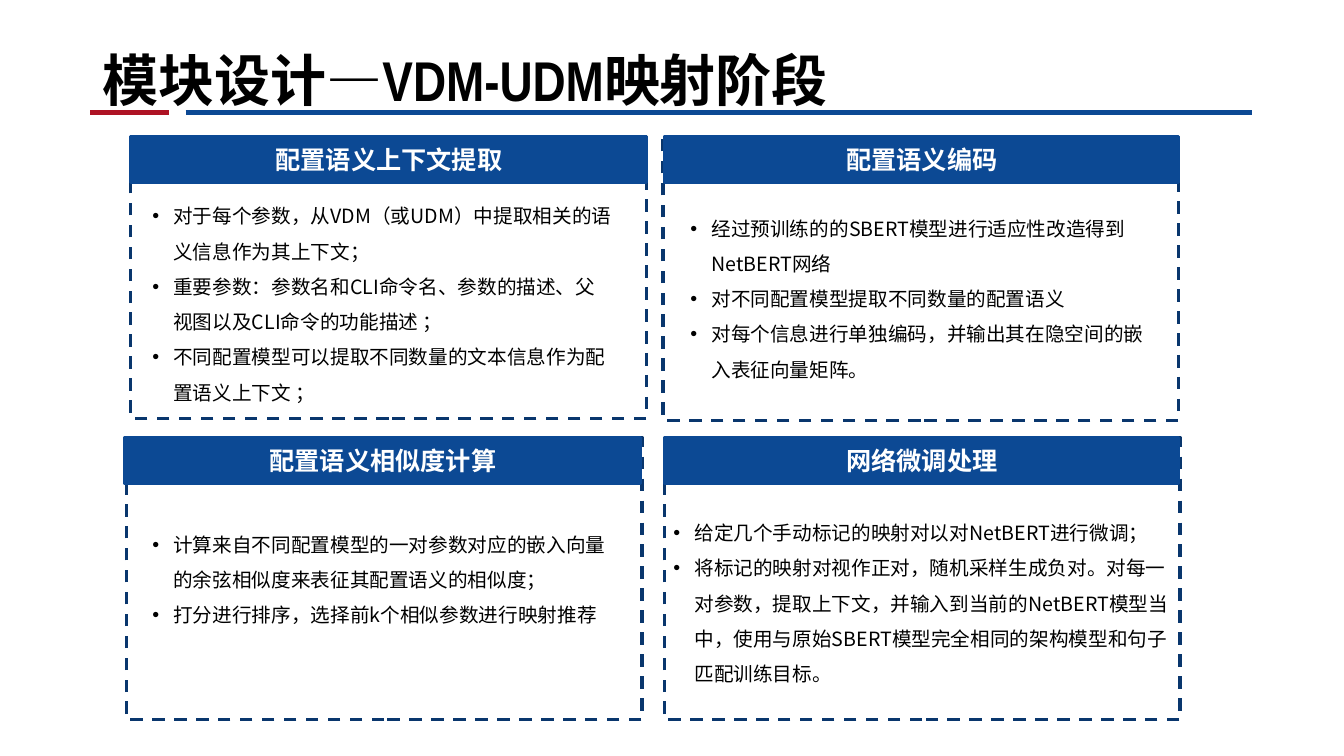
import pptx
import pptx.dml.color
import pptx.enum.dml
import pptx.enum.shapes
import pptx.enum.text
import pptx.oxml.ns
import pptx.util
from lxml import etree

Cm = pptx.util.Cm
Pt = pptx.util.Pt
RGBColor = pptx.dml.color.RGBColor
RECTANGLE = pptx.enum.shapes.MSO_SHAPE.RECTANGLE

BLACK = RGBColor(0x00, 0x00, 0x00)
WHITE = RGBColor(0xFF, 0xFF, 0xFF)
RED = RGBColor(0xAE, 0x13, 0x24)
BLUE = RGBColor(0x0C, 0x49, 0x94)
NAVY = RGBColor(0x09, 0x36, 0x6D)
CJK_FONT = "Noto Sans CJK SC"
PANEL_WIDTH, PANEL_HEIGHT, HEADER_HEIGHT = 13, 7.11, 1.17
INDENT = Cm(0.53)

# Each panel: heading, outline (left, top), header (left, top, width),
# body (left, top, width, height), bullet points
PANELS = [
    ("配置语义上下文提取", (3.3, 3.43), (3.3, 3.43, 13), (3.84, 4.85, 11.61, 5.33), [
        "对于每个参数，从VDM（或UDM）中提取相关的语义信息作为其上下文；",
        "重要参数：参数名和CLI命令名、参数的描述、父视图以及CLI命令的功能描述 ；",
        "不同配置模型可以提取不同数量的文本信息作为配置语义上下文 ；",
    ]),
    ("配置语义编码", (16.71, 3.48), (16.76, 3.43, 12.95), (17.4, 5.16, 11.61, 4.55), [
        "经过预训练的的SBERT模型进行适应性改造得到NetBERT网络",
        "对不同配置模型提取不同数量的配置语义",
        "对每个信息进行单独编码，并输出其在隐空间的嵌入表征向量矩阵。",
    ]),
    ("配置语义相似度计算", (3.18, 11.02), (3.15, 11.02, 13), (3.84, 13.13, 11.61, 2.92), [
        "计算来自不同配置模型的一对参数对应的嵌入向量的余弦相似度来表征其配置语义的相似度；",
        "打分进行排序，选择前k个相似参数进行映射推荐",
    ]),
    ("网络微调处理", (16.74, 11.02), (16.76, 11.02, 12.95), (16.97, 12.83, 12.78, 5.74), [
        "给定几个手动标记的映射对以对NetBERT进行微调；",
        "将标记的映射对视作正对，随机采样生成负对。对每一对参数，提取上下文，并输入到当前的"
        "NetBERT模型当中，使用与原始SBERT模型完全相同的架构模型和句子匹配训练目标。",
    ]),
]


def add_run(paragraph, text, size, color, bold=False, latin=CJK_FONT):
    """Add a run with a Latin font and the shared East Asian font."""
    run = paragraph.add_run()
    run.text = text
    run.font.size = Pt(size)
    run.font.bold = bold
    run.font.color.rgb = color
    run.font.name = latin
    east_asian = etree.SubElement(run.font._element, pptx.oxml.ns.qn("a:ea"))
    east_asian.set("typeface", CJK_FONT)


def set_frame(frame, horizontal, top, bottom, anchor):
    """Set wrapping, insets in centimetres and vertical anchor."""
    frame.word_wrap = True
    frame.margin_left = frame.margin_right = Cm(horizontal)
    frame.margin_top, frame.margin_bottom = Cm(top), Cm(bottom)
    frame.vertical_anchor = anchor


presentation = pptx.Presentation()
presentation.slide_width = Cm(33.87)
presentation.slide_height = Cm(19.05)
slide = presentation.slides.add_slide(presentation.slide_layouts[6])
shapes = slide.shapes
anchors = pptx.enum.text.MSO_ANCHOR

# Title and its two-coloured rule
for start, end, color in [(2.27, 4.25, RED), (4.68, 31.55, BLUE)]:
    rule = shapes.add_connector(pptx.enum.shapes.MSO_CONNECTOR.STRAIGHT,
                                Cm(start), Cm(2.84), Cm(end), Cm(2.84))
    rule.line.color.rgb = color
    rule.line.width = Pt(3.5)
    etree.SubElement(rule._element.spPr, pptx.oxml.ns.qn("a:effectLst"))

title = shapes.add_textbox(Cm(2.34), Cm(0), Cm(29.21), Cm(2.84))
set_frame(title.text_frame, 0.25, 0, 0, anchors.BOTTOM)
add_run(title.text_frame.paragraphs[0], "模块设计—VDM-UDM映射阶段", 40, BLACK,
        bold=True, latin="Arial Narrow")

# Four panels: dashed outline, header bar, bullet list
for heading, outline_place, header_place, body_place, points in PANELS:
    outline = shapes.add_shape(RECTANGLE, *map(Cm, outline_place), Cm(PANEL_WIDTH), Cm(PANEL_HEIGHT))
    outline.shadow.inherit = False
    outline.fill.background()
    outline.line.color.rgb = NAVY
    outline.line.width = Pt(2.25)
    outline.line.dash_style = pptx.enum.dml.MSO_LINE.DASH

    header = shapes.add_shape(RECTANGLE, *map(Cm, header_place), Cm(HEADER_HEIGHT))
    header.shadow.inherit = False
    header.fill.solid()
    header.fill.fore_color.rgb = BLUE
    header.line.color.rgb = BLUE
    header.line.width = Pt(2.25)
    set_frame(header.text_frame, 0.25, 0.2, 0.2, anchors.MIDDLE)
    header_paragraph = header.text_frame.paragraphs[0]
    header_paragraph.alignment = pptx.enum.text.PP_ALIGN.CENTER
    add_run(header_paragraph, heading, 18, WHITE, bold=True)

    body = shapes.add_textbox(*map(Cm, body_place))
    frame = body.text_frame
    set_frame(frame, 0, 0, 0, anchors.TOP)
    for index, point in enumerate(points):
        paragraph = frame.add_paragraph() if index else frame.paragraphs[0]
        paragraph.line_spacing = 1.5
        properties = paragraph._p.get_or_add_pPr()
        properties.set("marL", str(INDENT))
        properties.set("indent", str(-INDENT))
        bullet_font = etree.SubElement(properties, pptx.oxml.ns.qn("a:buFont"))
        bullet_font.set("typeface", "Arial")
        bullet = etree.SubElement(properties, pptx.oxml.ns.qn("a:buChar"))
        bullet.set("char", "•")
        add_run(paragraph, point, 14, BLACK)

presentation.save("out.pptx")
